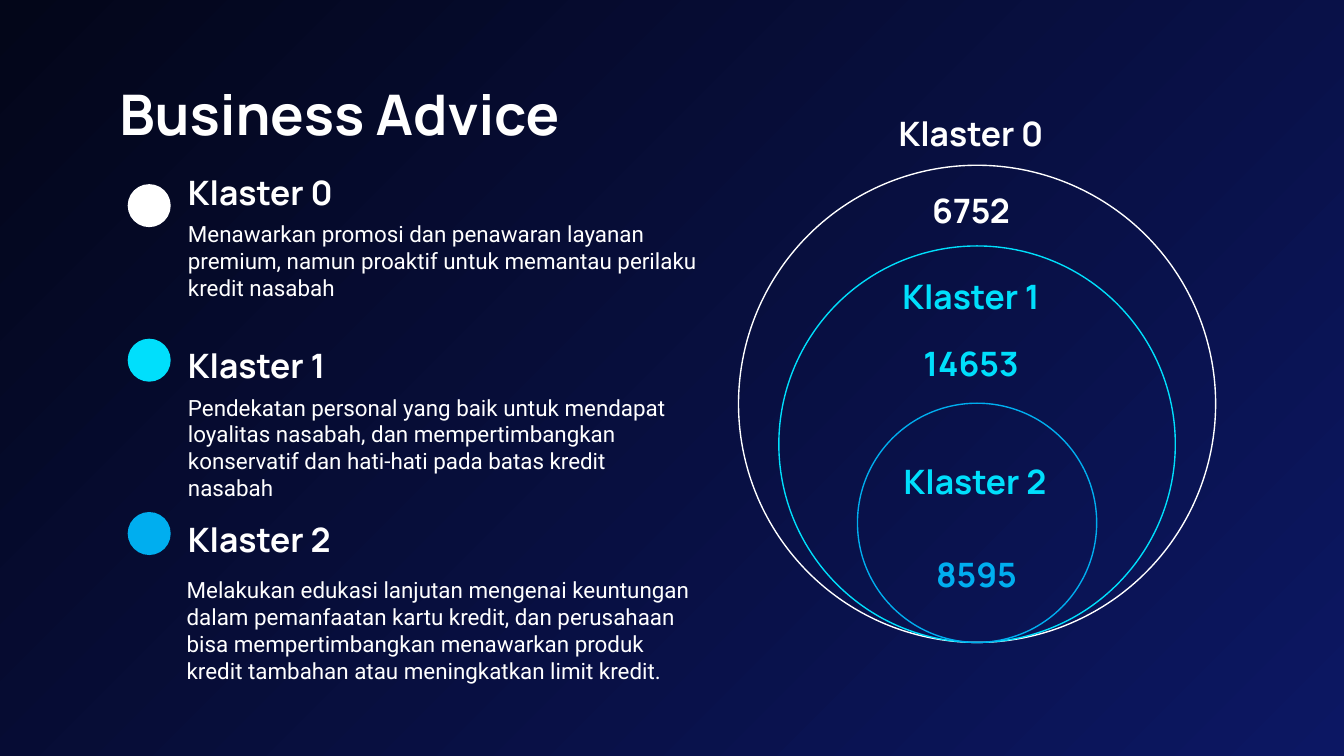
from dataclasses import dataclass

from lxml import etree
from pptx import Presentation
from pptx.dml.color import RGBColor
from pptx.enum.shapes import MSO_SHAPE
from pptx.enum.text import MSO_ANCHOR, PP_ALIGN
from pptx.oxml.ns import qn
from pptx.util import Inches, Pt

OVAL = MSO_SHAPE.OVAL
TOP, BOTTOM = MSO_ANCHOR.TOP, MSO_ANCHOR.BOTTOM
LEFT, CENTER = PP_ALIGN.LEFT, PP_ALIGN.CENTER


@dataclass(frozen=True)
class Theme:
    white: str = "FFFFFF"
    cyan: str = "00DFFC"
    blue: str = "00AEEF"
    glow: str = "0C1763"
    night: str = "030619"
    heading_font: str = "Manrope"
    body_font: str = "Roboto"
    title_size: int = 30
    heading_size: int = 18
    body_size: int = 12
    outline: float = 0.75


THEME = Theme()

# Advice: heading top, bullet top, bullet colour, body box, heading, body
ADVICE = [
    (1.22, 1.37, THEME.white, (1.3, 1.54, 3.99, 0.9), "Klaster 0",
     "Menawarkan promosi dan penawaran layanan premium, namun proaktif "
     "untuk memantau perilaku kredit nasabah"),
    (2.51, 2.52, THEME.cyan, (1.3, 2.83, 3.95, 0.9), "Klaster 1",
     "Pendekatan personal yang baik untuk mendapat loyalitas nasabah, dan "
     "mempertimbangkan konservatif dan hati-hati pada batas kredit nasabah"),
    (3.8, 3.81, THEME.blue, (1.29, 4.19, 3.99, 1.27), "Klaster 2",
     "Melakukan edukasi lanjutan mengenai keuntungan dalam pemanfaatan kartu "
     "kredit, dan perusahaan bisa mempertimbangkan menawarkan produk kredit "
     "tambahan atau meningkatkan limit kredit."),
]

# Nested circles share a centre line and a lowest point
CIRCLE_CENTER, CIRCLE_BOTTOM = 7.27, 4.78
CIRCLES = [(3.55, THEME.white), (2.95, THEME.cyan), (1.78, THEME.blue)]

# Circle labels: left, top, text, colour
LABELS = [
    (6.53, 0.74, "Klaster 0", THEME.white),
    (6.53, 1.31, "6752", THEME.white),
    (6.53, 1.95, "Klaster 1", THEME.cyan),
    (6.53, 2.45, "14653", THEME.cyan),
    (6.56, 3.33, "Klaster 2", THEME.cyan),
    (6.57, 4.02, "8595", THEME.blue),
]


def set_background(slide):
    """Radial gradient glowing from the lower right corner."""
    fill = slide.background.fill
    fill.gradient()
    for stop, position, color in zip(
            fill.gradient_stops, (0, 1), (THEME.glow, THEME.night)):
        stop.position = position
        stop.color.rgb = RGBColor.from_string(color)
    gradient = slide.element.find(".//" + qn("a:gradFill"))
    linear = gradient.find(qn("a:lin"))
    radial = etree.Element(qn("a:path"), {"path": "circle"})
    etree.SubElement(radial, qn("a:fillToRect"), {"l": "100000", "t": "100000"})
    gradient.replace(linear, radial)


def add_text(slide, box, text, size, color=THEME.white, font=THEME.heading_font,
             bold=True, align=LEFT, anchor=TOP, space_after=0):
    shape = slide.shapes.add_textbox(*map(Inches, box))
    frame = shape.text_frame
    frame.word_wrap = True
    frame.vertical_anchor = anchor
    frame.margin_left = frame.margin_right = Inches(0.1)
    frame.margin_top = frame.margin_bottom = Inches(0.1)
    paragraph = frame.paragraphs[0]
    paragraph.alignment = align
    paragraph.space_after = Pt(space_after)
    run = paragraph.add_run()
    run.text = text
    run.font.name = font
    run.font.size = Pt(size)
    run.font.bold = bold
    run.font.color.rgb = RGBColor.from_string(color)


def add_circle(slide, left, top, diameter, fill=None, line=None):
    shape = slide.shapes.add_shape(
        OVAL, *map(Inches, (left, top, diameter, diameter)))
    shape.shadow.inherit = False
    if fill:
        shape.fill.solid()
        shape.fill.fore_color.rgb = RGBColor.from_string(fill)
    else:
        shape.fill.background()
    if line:
        shape.line.color.rgb = RGBColor.from_string(line)
        shape.line.width = Pt(THEME.outline)
    else:
        shape.line.fill.background()


def add_advice(slide, heading_top, bullet_top, color, body_box, heading, body):
    add_circle(slide, 0.95, bullet_top, 0.32, fill=color)
    add_text(slide, (1.3, heading_top, 3.99, 0.46), heading,
             THEME.heading_size, anchor=BOTTOM)
    add_text(slide, body_box, body, THEME.body_size, font=THEME.body_font,
             bold=False, space_after=16)


def main():
    # Widescreen slide, 16 to 9
    presentation = Presentation()
    presentation.slide_width = Inches(10)
    presentation.slide_height = Inches(10 * 9 / 16)
    slide = presentation.slides.add_slide(presentation.slide_layouts[6])
    set_background(slide)

    # Title
    add_text(slide, (0.79, 0.49, 8.43, 0.63), "Business Advice", THEME.title_size)

    # Nested circles and their labels
    for diameter, color in CIRCLES:
        add_circle(slide, CIRCLE_CENTER - diameter / 2,
                   CIRCLE_BOTTOM - diameter, diameter, line=color)
    for left, top, text, color in LABELS:
        add_text(slide, (left, top, 1.39, 0.61), text, THEME.heading_size,
                 color, align=CENTER)

    # Advice for each cluster
    for advice in ADVICE:
        add_advice(slide, *advice)

    presentation.save("out.pptx")


if __name__ == "__main__":
    main()
